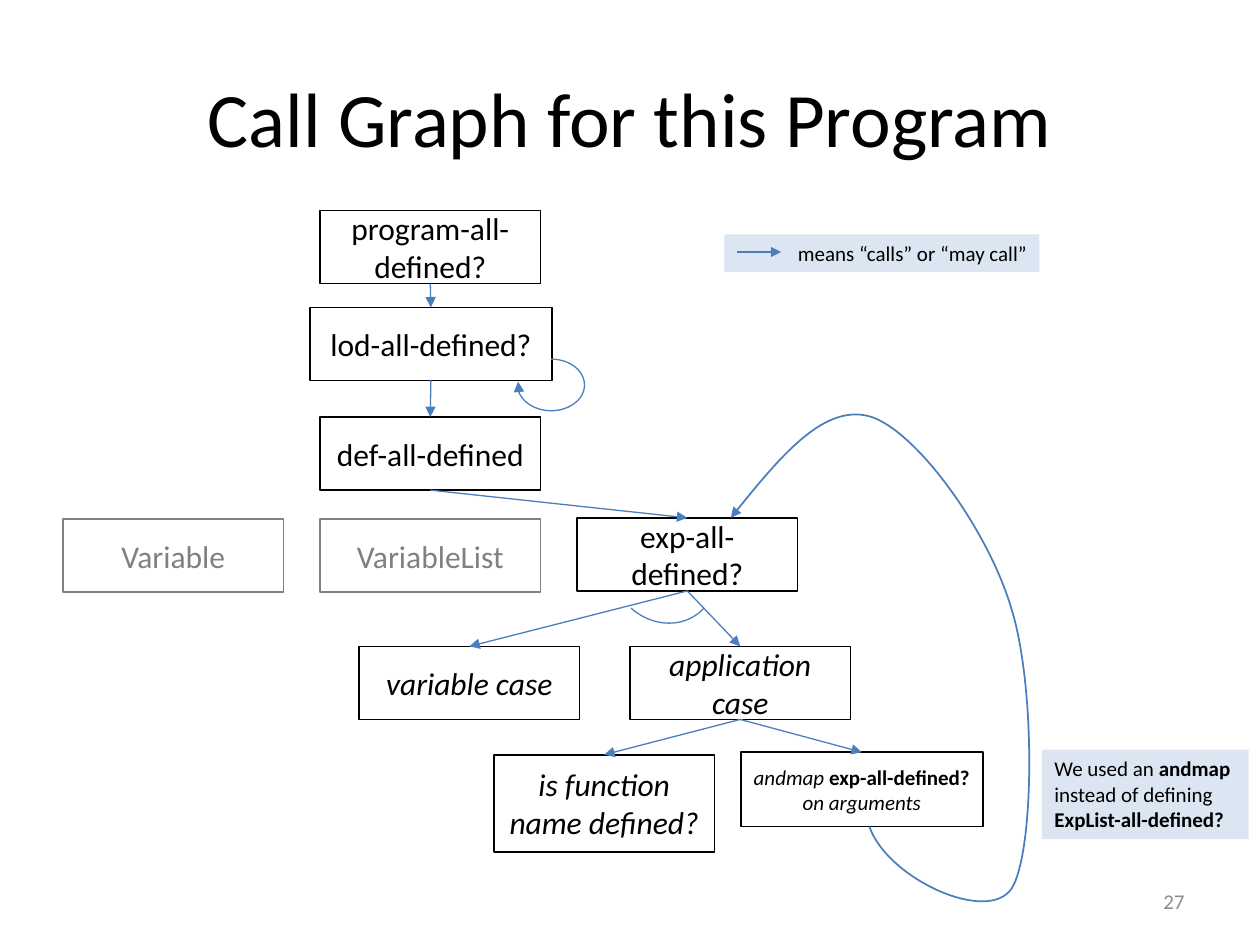
import pptx
import pptx.util
import pptx.dml.color
import pptx.enum.shapes
import pptx.enum.text
import pptx.oxml
import pptx.oxml.ns
from lxml import etree

Inches, Pt = pptx.util.Inches, pptx.util.Pt
RGBColor = pptx.dml.color.RGBColor
SHAPE = pptx.enum.shapes.MSO_SHAPE
ALIGN = pptx.enum.text.PP_ALIGN
ANCHOR = pptx.enum.text.MSO_ANCHOR
qn = pptx.oxml.ns.qn

BLACK = RGBColor(0x00, 0x00, 0x00)
GRAY = RGBColor(0x80, 0x80, 0x80)
PALE = RGBColor(0xDC, 0xE6, 0xF2)
BLUE = RGBColor(0x4B, 0x7E, 0xBC)
FAINT = RGBColor(0x8C, 0x8C, 0x8C)
FONT = "Calibri"
WIDE, HIGH = 1.75, 0.58

# Content: runs are (text, style), where style holds "b" and/or "i"
TITLE = "Call Graph for this Program"
NUMBER = [("27", "")]
LEGEND = [("means “calls” or “may call”", "")]
NOTE = [("We used an ", ""), ("andmap", "b"), (" instead of defining ", ""),
        ("ExpList-all-defined?", "b")]

# name: (left, top, width, height, size, color, runs)
NODES = {
    "var": (2.85, 5.13, WIDE, HIGH, 18, BLACK, [("variable case", "i")]),
    "app": (5, 5.13, WIDE, HIGH, 18, BLACK, [("application case", "i")]),
    "exp": (4.58, 4.11, WIDE, HIGH, 18, BLACK, [("exp-all-defined?", "")]),
    "list": (2.54, 4.12, WIDE, HIGH, 18, GRAY, [("VariableList", "")]),
    "name": (0.5, 4.12, WIDE, HIGH, 18, GRAY, [("Variable", "")]),
    "def": (2.54, 3.31, WIDE, HIGH, 18, BLACK, [("def-all-defined", "")]),
    "lod": (2.46, 2.44, 1.92, HIGH, 18, BLACK, [("lod-all-defined?", "")]),
    "prog": (2.54, 1.67, WIDE, HIGH, 18, BLACK, [("program-all-defined?", "")]),
    "map": (5.88, 5.97, 1.92, 0.59, 12, BLACK,
            [("andmap ", "i"), ("exp-all-defined?", "b"), (" on arguments", "i")]),
    "func": (3.92, 5.99, WIDE, 0.77, 18, BLACK,
             [("is function name defined?", "i")]),
}
CALLS = [("prog", "lod"), ("lod", "def"), ("def", "exp"), ("exp", "var"),
         ("exp", "app"), ("app", "func"), ("app", "map")]

# Recursive call: start, then control, control, end for each curve
LOOP = [(6.9, 6.56),
        (7.04, 6.97), (7.84, 7.34), (8.03, 7.05),
        (8.21, 6.76), (8.22, 5.46), (8.03, 4.84),
        (7.85, 4.22), (7.29, 3.44), (6.92, 3.31),
        (6.55, 3.19), (6.17, 3.65), (5.8, 4.11)]


def write(shape, runs, size, color, align, anchor):
    frame = shape.text_frame
    frame.word_wrap = True
    frame.vertical_anchor = anchor
    para = frame.paragraphs[0]
    para.alignment = align
    for text, style in runs:
        run = para.add_run()
        run.text = text
        font = run.font
        font.name, font.size = FONT, Pt(size)
        font.color.rgb = color
        font.bold, font.italic = "b" in style, "i" in style


def add_box(kind, left, top, wide, high, fill=None, line=None, width=1):
    shape = shapes.add_shape(kind, Inches(left), Inches(top),
                             Inches(wide), Inches(high))
    dress(shape, fill, line, width)
    return shape


def dress(shape, fill, line, width):
    shape.shadow.inherit = False
    if fill is None:
        shape.fill.background()
    else:
        shape.fill.solid()
        shape.fill.fore_color.rgb = fill
    if line is None:
        shape.line.fill.background()
    else:
        shape.line.color.rgb = line
        shape.line.width = Pt(width)


def add_head(shape):
    props = shape.line._get_or_add_ln()
    etree.SubElement(props, qn("a:tailEnd"), type="triangle")


def add_arrow(x1, y1, x2, y2):
    line = shapes.add_connector(pptx.enum.shapes.MSO_CONNECTOR.STRAIGHT,
                                Inches(x1), Inches(y1), Inches(x2), Inches(y2))
    line.line.color.rgb = BLUE
    line.line.width = Pt(0.75)
    add_head(line)
    etree.SubElement(line._element.spPr, qn("a:effectLst"))
    return line


def add_curve(points):
    spots = [(Inches(x), Inches(y)) for x, y in points]
    build = shapes.build_freeform(*spots[0])
    build.add_line_segments(spots[1:], close=False)
    shape = build.convert_to_shape()
    # Turn each three straight steps into one cubic curve
    route = next(shape._element.iter(qn("a:path")))
    steps = route.findall(qn("a:lnTo"))
    for i in range(0, len(steps), 3):
        cubic = etree.SubElement(route, qn("a:cubicBezTo"))
        for step in steps[i:i + 3]:
            cubic.append(step[0])
            route.remove(step)
    return shape


deck = pptx.Presentation()
deck.slide_width, deck.slide_height = Inches(10), Inches(7.5)
slide = deck.slides.add_slide(deck.slide_layouts[5])
shapes = slide.shapes

# Title
title = shapes.title
title.left, title.top = Inches(0.5), Inches(0.3)
title.width, title.height = Inches(9), Inches(1.25)
write(title, [(TITLE, "")], 44, BLACK, ALIGN.CENTER, ANCHOR.MIDDLE)

# Slide number and side note
page = shapes.add_textbox(Inches(7.17), Inches(6.95), Inches(2.33), Inches(0.4))
write(page, NUMBER, 12, FAINT, ALIGN.RIGHT, ANCHOR.MIDDLE)
note = add_box(SHAPE.RECTANGLE, 8.27, 5.95, 1.64, 0.71, PALE)
write(note, NOTE, 12, BLACK, ALIGN.LEFT, ANCHOR.TOP)

# Nodes
boxes = {}
for key, (left, top, wide, high, size, color, runs) in NODES.items():
    boxes[key] = add_box(SHAPE.RECTANGLE, left, top, wide, high, line=color)
    write(boxes[key], runs, size, color, ALIGN.CENTER, ANCHOR.MIDDLE)

# Calls, from bottom middle to top middle
for start, end in CALLS:
    arrow = add_arrow(0, 0, 1, 1)
    arrow.begin_connect(boxes[start], 2)
    arrow.end_connect(boxes[end], 0)

# Self call and the arc across the two cases
again = add_box(SHAPE.ARC, 4.11, 2.85, 0.53, 0.41, line=BLUE, width=0.75)
again.adjustments[0], again.adjustments[1] = 162, 111.43
add_head(again)
either = add_box(SHAPE.ARC, 4.88, 4.11, 0.77, 0.86, line=BLUE, width=0.75)
either.rotation = 132

# Recursive call
loop = add_curve(LOOP)
dress(loop, None, BLUE, 1)
add_head(loop)

# Legend
legend = add_box(SHAPE.RECTANGLE, 5.75, 1.86, 2.5, 0.3, PALE)
write(legend, LEGEND, 12, BLACK, ALIGN.RIGHT, ANCHOR.TOP)
add_arrow(5.85, 2, 6.2, 2)

deck.save("out.pptx")
